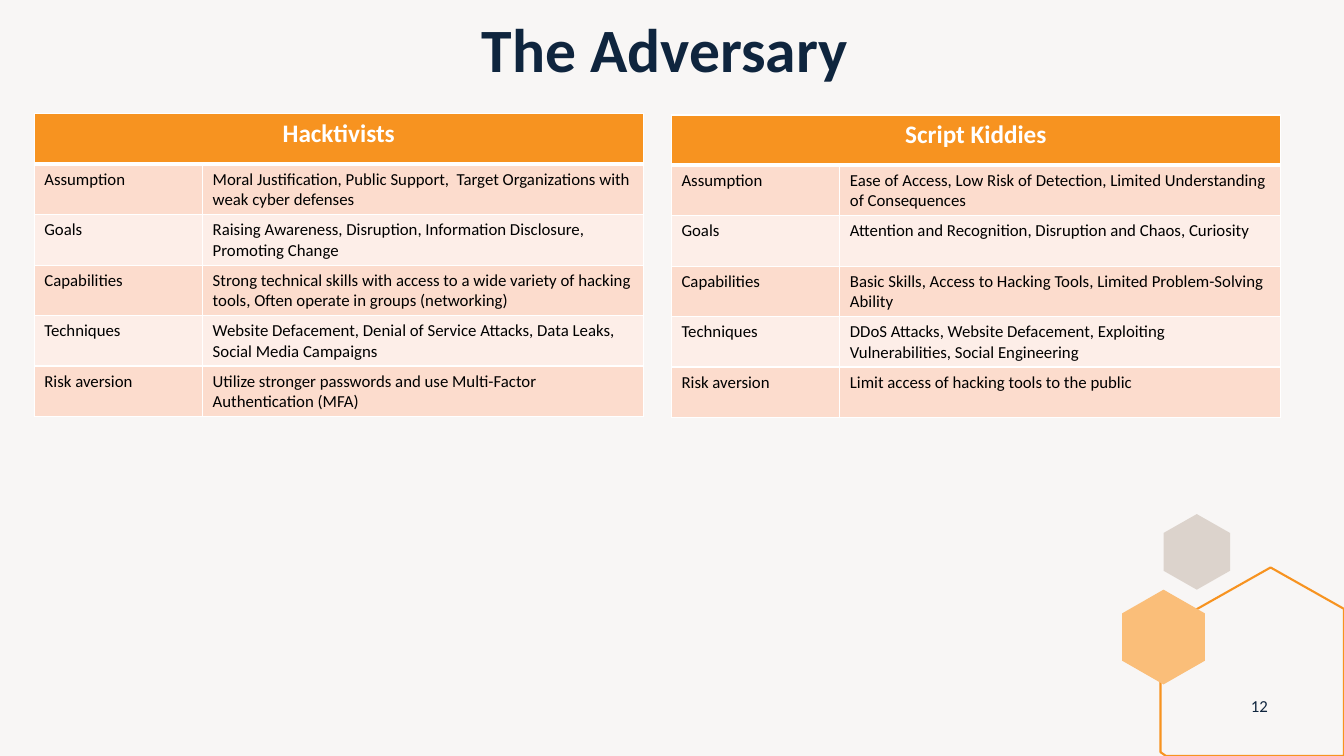
from lxml import etree
from pptx import Presentation, util as u
from pptx.dml.color import RGBColor
from pptx.enum import text
from pptx.oxml.ns import qn

FONT = "Calibri"
NAVY, ORANGE, WHITE = "0F253E", "F79320", "FFFFFF"
BANDS = ("FCDCCD", "FDEEE8")
TOPICS = ("Assumption", "Goals", "Capabilities", "Techniques", "Risk aversion")
ADVERSARIES = {
    "Hacktivists": (
        "Moral Justification, Public Support,  Target Organizations with weak cyber defenses",
        "Raising Awareness, Disruption, Information Disclosure, Promoting Change",
        "Strong technical skills with access to a wide variety of hacking tools, "
        "Often operate in groups (networking)",
        "Website Defacement, Denial of Service Attacks, Data Leaks, Social Media Campaigns",
        "Utilize stronger passwords and use Multi-Factor Authentication (MFA)",
    ),
    "Script Kiddies": (
        "Ease of Access, Low Risk of Detection, Limited Understanding of Consequences",
        "Attention and Recognition, Disruption and Chaos, Curiosity",
        "Basic Skills, Access to Hacking Tools, Limited Problem-Solving Ability",
        "DDoS Attacks, Website Defacement, Exploiting Vulnerabilities, Social Engineering",
        "Limit access of hacking tools to the public",
    ),
}
TABLE_BOXES = ((0.34, 1.13, 6.04, 3), (6.66, 1.14, 6.04, 3))
HEXAGON = ((0.5, 0), (1, 0.25), (1, 0.75), (0.5, 1), (0, 0.75), (0, 0.25))
CUT_HEXAGON = ((0.6, 0), (1, 0.22), (1, 1), (0.03, 1), (0, 0.98), (0, 0.33))


def color(value):
    """Return the colour for a hex string."""
    return RGBColor.from_string(value)


def write(frame, words, size, tint, bold=False, align=text.PP_ALIGN.LEFT):
    """Put one formatted paragraph into a text frame."""
    frame.text = words
    para = frame.paragraphs[0]
    para.alignment = align
    para.font.name, para.font.size, para.font.bold = FONT, u.Pt(size), bold
    para.font.color.rgb = color(tint)
    return para


def add_polygon(page, box, corners, fill=None, line=None):
    """Draw a closed outline whose corners are fractions of the box."""
    left, top, width, height = box
    points = [(u.Inches(left + x * width), u.Inches(top + y * height)) for x, y in corners]
    builder = page.shapes.build_freeform(*points[0], scale=1.0)
    builder.add_line_segments(points[1:], close=True)
    shape = builder.convert_to_shape()
    shape.shadow.inherit = False
    if fill:
        shape.fill.solid()
        shape.fill.fore_color.rgb = color(fill)
    else:
        shape.fill.background()
    if line:
        shape.line.color.rgb = color(line)
        shape.line.width = u.Pt(1.5)
    else:
        shape.line.fill.background()


def add_decoration(page):
    """Draw the hexagons in the lower right corner."""
    add_polygon(page, (11.54, 5.1, 0.66, 0.75), HEXAGON, fill="DCD3CC")
    add_polygon(page, (11.51, 5.63, 1.82, 1.87), CUT_HEXAGON, line=ORANGE)
    add_polygon(page, (11.13, 5.85, 0.82, 0.94), HEXAGON, fill="FABE79")


def add_title(page, box, words):
    """Place and format the title placeholder."""
    title = page.shapes.title
    title.left, title.top, title.width, title.height = map(u.Inches, box)
    title.text_frame.vertical_anchor = text.MSO_ANCHOR.TOP
    para = write(title.text_frame, words, 44, NAVY, True, text.PP_ALIGN.CENTER)
    para.line_spacing = 0.9


def add_page_number(page, box, number):
    """Write the page number."""
    frame = page.shapes.add_textbox(*map(u.Inches, box)).text_frame
    frame.word_wrap = True
    frame.vertical_anchor = text.MSO_ANCHOR.MIDDLE
    write(frame, number, 12, NAVY, align=text.PP_ALIGN.CENTER)


def style_cell(cell, fill, top=1, bottom=1):
    """Give a cell its fill and white borders, with widths in points."""
    properties = cell._tc.get_or_add_tcPr()
    for side, width in (("L", 1), ("R", 1), ("T", top), ("B", bottom)):
        border = etree.SubElement(properties, qn(f"a:ln{side}"), w=str(u.Pt(width)))
        solid = etree.SubElement(border, qn("a:solidFill"))
        etree.SubElement(solid, qn("a:srgbClr"), val=WHITE)
    cell.fill.solid()
    cell.fill.fore_color.rgb = color(fill)


def add_profile(page, box, name, details):
    """Build the table that profiles one adversary."""
    table = page.shapes.add_table(len(TOPICS) + 1, 2, *map(u.Inches, box)).table
    table.columns[0].width = u.Inches(1.67)
    table.columns[1].width = u.Inches(box[2] - 1.67)
    header = table.cell(0, 0)
    header.merge(table.cell(0, 1))
    for column in range(2):
        style_cell(table.cell(0, column), ORANGE, bottom=3)
    write(header.text_frame, name, 18, WHITE, True, text.PP_ALIGN.CENTER)
    for row, entries in enumerate(zip(TOPICS, details), 1):
        for column, words in enumerate(entries):
            cell = table.cell(row, column)
            style_cell(cell, BANDS[(row - 1) % 2], top=3 if row == 1 else 1)
            write(cell.text_frame, words, 12, "000000")


def main():
    """Build the slide and save it."""
    deck = Presentation()
    deck.slide_width, deck.slide_height = u.Inches(13.33), u.Inches(7.5)
    page = deck.slides.add_slide(deck.slide_layouts[5])
    page.background.fill.solid()
    page.background.fill.fore_color.rgb = color("F8F6F5")
    add_decoration(page)
    add_title(page, (0.64, 0.14, 11.91, 1), "The Adversary")
    add_page_number(page, (12.24, 6.8, 0.5, 0.4), "12")
    for box, (name, details) in zip(TABLE_BOXES, ADVERSARIES.items()):
        add_profile(page, box, name, details)
    deck.save("out.pptx")


if __name__ == "__main__":
    main()
